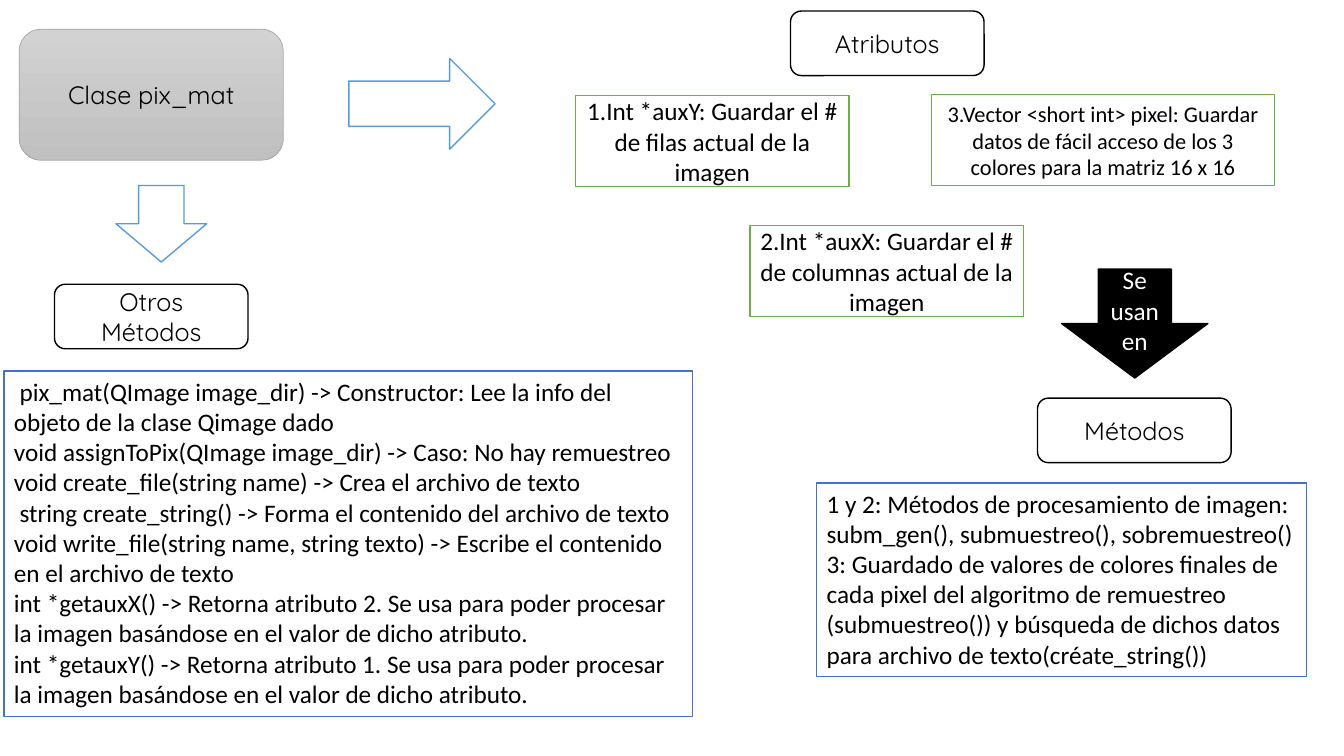
from dataclasses import dataclass

from pptx import Presentation
from pptx.dml.color import RGBColor
from pptx.enum.shapes import MSO_SHAPE as Preset
from pptx.enum.text import MSO_ANCHOR as Anchor, MSO_AUTO_SIZE as AutoSize, PP_ALIGN as Align
from pptx.util import Inches, Pt

BLACK, WHITE, GREEN, BLUE, SKY = "000000", "FFFFFF", "70AD47", "4472C4", "5B9BD5"
GRAY_TOP, GRAY_BOTTOM, GRAY_LINE = "D2D2D2", "C0C0C0", "A5A5A5"
BODY_FONT, LABEL_FONT = "Calibri", "Quicksand"
LABEL_SIZE = (1.92, 0.64)
ATTRIBUTE_SIZE = (2.71, 0.9)


@dataclass
class Label:
    text: str
    left: float
    top: float


@dataclass
class Attribute:
    text: str
    left: float
    top: float
    size: tuple = ATTRIBUTE_SIZE
    points: int = 18


@dataclass
class Details:
    left: float
    top: float
    width: float
    height: float
    lines: list


LABELS = [
    Label("Otros Métodos", 0.54, 2.82),
    Label("Atributos", 7.84, 0.11),
    Label("Métodos", 10.29, 3.95),
]

ATTRIBUTES = [
    Attribute("1.Int *auxY: Guardar el # de filas actual de la imagen", 5.71, 0.95),
    Attribute("2.Int *auxX: Guardar el # de columnas actual de la imagen", 7.44, 2.24),
    Attribute("3.Vector <short int> pixel: Guardar datos de fácil acceso de los 3 colores "
              "para la matriz 16 x 16", 9.24, 0.94, (3.4, 0.9), 16),
]

DETAILS = [
    Details(0.04, 3.68, 6.83, 3.43, [
        " pix_mat(QImage image_dir) -> Constructor: Lee la info del objeto de la clase Qimage dado",
        "void assignToPix(QImage image_dir) -> Caso: No hay remuestreo",
        "void create_file(string name) -> Crea el archivo de texto",
        " string create_string() -> Forma el contenido del archivo de texto",
        "void write_file(string name, string texto) -> Escribe el contenido en el archivo de texto",
        "int *getauxX() -> Retorna atributo 2. Se usa para poder procesar la imagen "
        "basándose en el valor de dicho atributo.",
        "int *getauxY() -> Retorna atributo 1. Se usa para poder procesar la imagen "
        "basándose en el valor de dicho atributo.",
    ]),
    Details(8.1, 4.79, 4.86, 1.92, [
        "1 y 2: Métodos de procesamiento de imagen: subm_gen(), submuestreo(), sobremuestreo()",
        "3: Guardado de valores de colores finales de cada pixel del algoritmo de remuestreo "
        "(submuestreo()) y búsqueda de dichos datos para archivo de texto(créate_string())",
    ]),
]


def color(value: str) -> RGBColor:
    return RGBColor.from_string(value)


def add_box(page, preset, left: float, top: float, width: float, height: float,
            line: str, fill: str = WHITE, weight: float = 1):
    box = page.shapes.add_shape(preset, Inches(left), Inches(top), Inches(width), Inches(height))
    box.shadow.inherit = False
    box.fill.solid()
    box.fill.fore_color.rgb = color(fill)
    box.line.color.rgb = color(line)
    box.line.width = Pt(weight)
    return box


def write(box, lines: list, *, font: str = BODY_FONT, points: int = 18, ink: str = BLACK,
          align=Align.CENTER, anchor=Anchor.MIDDLE) -> None:
    frame = box.text_frame
    frame.word_wrap = True
    frame.vertical_anchor = anchor
    for index, line in enumerate(lines):
        para = frame.add_paragraph() if index else frame.paragraphs[0]
        para.alignment = align
        span = para.add_run()
        span.text = line
        span.font.name = font
        span.font.size = Pt(points)
        span.font.color.rgb = color(ink)


def add_class_box(page) -> None:
    box = add_box(page, Preset.ROUNDED_RECTANGLE, 0.19, 0.29, 2.62, 1.3, GRAY_LINE, weight=0.5)
    box.fill.gradient()
    box.fill.gradient_angle = 270
    for stop, shade in zip(box.fill.gradient_stops, (GRAY_TOP, GRAY_BOTTOM)):
        stop.color.rgb = color(shade)
        stop.position = 0 if shade == GRAY_TOP else 1
    write(box, ["Clase pix_mat"], font=LABEL_FONT)


def add_label(page, label: Label) -> None:
    box = add_box(page, Preset.ROUNDED_RECTANGLE, label.left, label.top, *LABEL_SIZE, BLACK)
    write(box, [label.text], font=LABEL_FONT)


def add_attribute(page, item: Attribute) -> None:
    box = add_box(page, Preset.RECTANGLE, item.left, item.top, *item.size, GREEN)
    write(box, [item.text], points=item.points)


def add_details(page, item: Details) -> None:
    box = add_box(page, Preset.RECTANGLE, item.left, item.top, item.width, item.height, BLUE)
    write(box, item.lines, align=Align.LEFT, anchor=Anchor.TOP)
    box.text_frame.auto_size = AutoSize.SHAPE_TO_FIT_TEXT


def main() -> None:
    deck = Presentation()
    deck.slide_width, deck.slide_height = Inches(13.33), Inches(7.5)
    page = deck.slides.add_slide(deck.slide_layouts.get_by_name("Blank"))

    # Class and its arrows
    add_class_box(page)
    add_box(page, Preset.RIGHT_ARROW, 3.46, 0.58, 1.45, 0.9, SKY)
    add_box(page, Preset.RIGHT_ARROW, 1.22, 1.77, 0.76, 0.9, SKY).rotation = 90

    # Headings, attributes and method lists
    for label in LABELS:
        add_label(page, label)
    for attribute in ATTRIBUTES:
        add_attribute(page, attribute)
    for details in DETAILS:
        add_details(page, details)

    # Arrow from attributes to methods
    usage = add_box(page, Preset.DOWN_ARROW, 10.53, 2.67, 1.45, 1.08, BLACK, fill=BLACK)
    write(usage, ["Se usan en"], ink=WHITE)

    deck.save("out.pptx")


if __name__ == "__main__":
    main()
